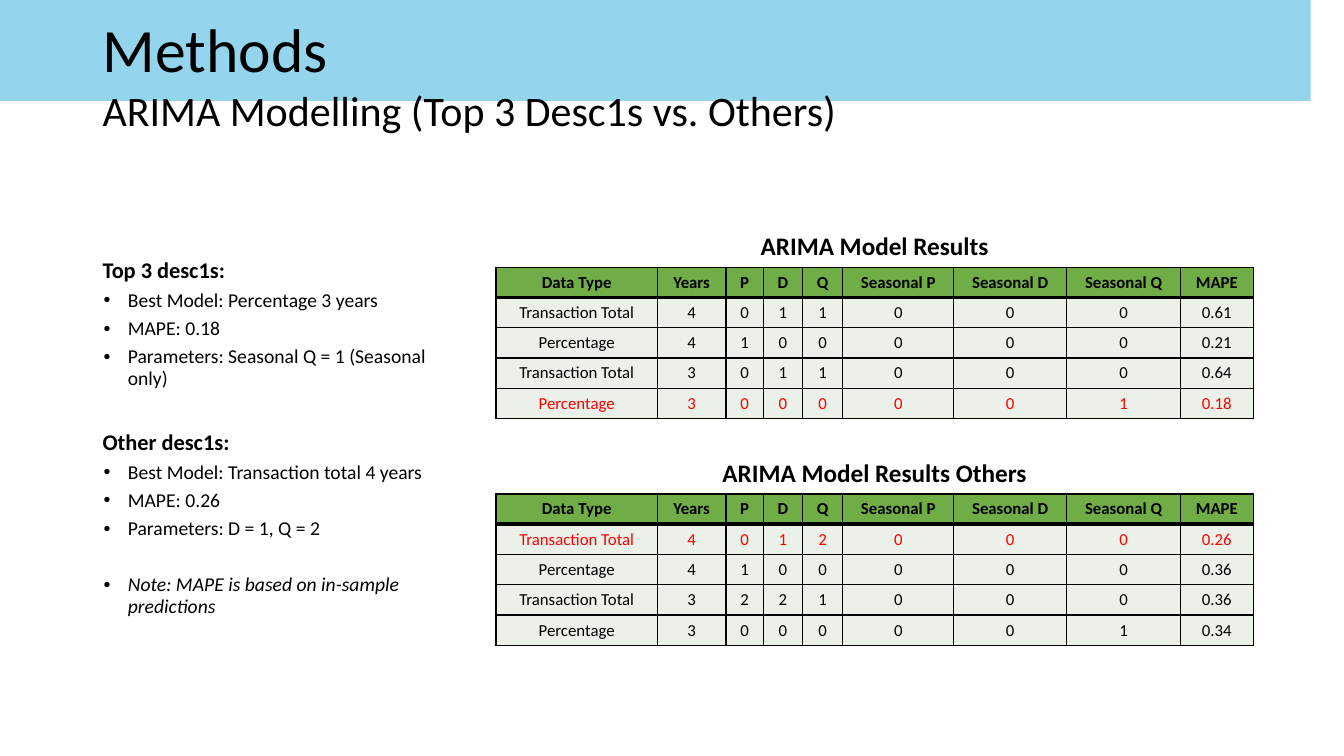
from lxml import etree
from pptx import Presentation, util as u
from pptx.dml.color import RGBColor
from pptx.enum import text
from pptx.oxml import ns

FONT = "Calibri"
BLACK, WHITE, RED = "000000", "FFFFFF", "FF0000"
SKY, GREEN, PALE = "67C3E6", "70AD47", "EBF1E9"
WIDTH, HEIGHT = 13.33, 7.5
MARGIN = 0.92


def color(value):
    return RGBColor.from_string(value)


def style(paragraph, size, value=BLACK, bold=False):
    paragraph.font.name = FONT
    paragraph.font.size = u.Pt(size)
    paragraph.font.bold = bold
    paragraph.font.color.rgb = color(value)


presentation = Presentation()
presentation.slide_width, presentation.slide_height = u.Inches(WIDTH), u.Inches(HEIGHT)
slide = presentation.slides.add_slide(presentation.slide_layouts[6])

# Curved banner: two Bezier segments sampled along the lower edge
STEPS = 24
curves = [
    [(13.31, 0.94), (11.19, 1.25), (7.6, 1.45), (3.52, 1.45)],
    [(3.52, 1.45), (2.3, 1.45), (1.13, 1.43), (0.02, 1.4)],
]
edge = [(WIDTH, 0), (WIDTH, 0.94)]
for curve in curves:
    for step in range(STEPS + 1):
        t = step / STEPS
        weights = [(1 - t) ** 3, 3 * t * (1 - t) ** 2, 3 * t * t * (1 - t), t ** 3]
        edge.append(tuple(sum(w * point[axis] for w, point in zip(weights, curve))
                          for axis in (0, 1)))
edge.append((0, 1.4))
builder = slide.shapes.build_freeform(0, 0, scale=u.Inches(1))
builder.add_line_segments(edge, close=True)
banner = builder.convert_to_shape()
banner.shadow.inherit = False
banner.line.fill.background()
banner.fill.solid()
banner.fill.fore_color.rgb = color(SKY)
banner_color = banner.fill._xPr.find(".//" + ns.qn("a:srgbClr"))
etree.SubElement(banner_color, ns.qn("a:alpha"), val="70000")

# Text blocks: box, anchor, then lines of (words, size, space before, look)
middle, top = text.MSO_ANCHOR.MIDDLE, text.MSO_ANCHOR.TOP
blocks = [
    ((MARGIN, 0.18, 11.5, 0.68), middle, [("Methods", 44, 0, "plain")]),
    ((MARGIN, 0.85, 11.5, 0.51), top,
     [("ARIMA Modelling (Top 3 Desc1s vs. Others)", 30, 10, "plain")]),
    ((MARGIN, 1.57, 3.5, 5.56), middle, [
        ("Top 3 desc1s:", 16, 10, "bold"),
        ("Best Model: Percentage 3 years", 14, 5, "bullet"),
        ("MAPE: 0.18", 14, 5, "bullet"),
        ("Parameters: Seasonal Q = 1 (Seasonal only)", 14, 5, "bullet"),
        ("Other desc1s:", 16, 30, "bold"),
        ("Best Model: Transaction total 4 years", 14, 5, "bullet"),
        ("MAPE: 0.26", 14, 5, "bullet"),
        ("Parameters: D = 1, Q = 2", 14, 5, "bullet"),
        ("Note: MAPE is based on in-sample predictions", 14, 25, "italic bullet"),
    ]),
]
for box, anchor, lines in blocks:
    frame = slide.shapes.add_textbox(*map(u.Inches, box)).text_frame
    frame.word_wrap = True
    frame.vertical_anchor = anchor
    for index, (words, size, before, look) in enumerate(lines):
        paragraph = frame.add_paragraph() if index else frame.paragraphs[0]
        paragraph.text = words
        paragraph.line_spacing = 0.9
        paragraph.space_before = u.Pt(before)
        style(paragraph, size, bold=look == "bold")
        paragraph.font.italic = "italic" in look
        if "bullet" in look:
            properties = paragraph._p.get_or_add_pPr()
            properties.set("marL", str(u.Inches(0.25)))
            properties.set("indent", str(u.Inches(-0.24)))
            bullet_font = etree.Element(ns.qn("a:buFont"), typeface="Arial")
            bullet = etree.Element(ns.qn("a:buChar"), char="•")
            properties.find(ns.qn("a:defRPr")).addprevious(bullet_font)
            bullet_font.addnext(bullet)

# Result tables: top, title, highlighted row, data
TITLE_ROW, DATA_ROW = 0.4, 0.3
columns = [1.6, 0.68, 0.37, 0.39, 0.4, 1.1, 1.12, 1.13, 0.72]
headings = ["Data Type", "Years", "P", "D", "Q",
            "Seasonal P", "Seasonal D", "Seasonal Q", "MAPE"]
results = [
    (2.25, "ARIMA Model Results", 5, [
        ["Transaction Total", 4, 0, 1, 1, 0, 0, 0, 0.61],
        ["Percentage", 4, 1, 0, 0, 0, 0, 0, 0.21],
        ["Transaction Total", 3, 0, 1, 1, 0, 0, 0, 0.64],
        ["Percentage", 3, 0, 0, 0, 0, 0, 1, 0.18],
    ]),
    (4.5, "ARIMA Model Results Others", 2, [
        ["Transaction Total", 4, 0, 1, 2, 0, 0, 0, 0.26],
        ["Percentage", 4, 1, 0, 0, 0, 0, 0, 0.36],
        ["Transaction Total", 3, 2, 2, 1, 0, 0, 0, 0.36],
        ["Percentage", 3, 0, 0, 0, 0, 0, 1, 0.34],
    ]),
]
for table_top, title, best_row, data in results:
    rows = [[title] + [""] * (len(columns) - 1), headings, *data]
    table = slide.shapes.add_table(
        len(rows), len(columns), u.Inches(4.92), u.Inches(table_top),
        u.Inches(sum(columns)), u.Inches(TITLE_ROW + DATA_ROW * (len(rows) - 1))).table
    table.first_row = table.horz_banding = False
    for column, width in zip(table.columns, columns):
        column.width = u.Inches(width)
    for r, row in enumerate(rows):
        table.rows[r].height = u.Inches(DATA_ROW if r else TITLE_ROW)
        for c, value in enumerate(row):
            cell = table.cell(r, c)
            cell.vertical_anchor = middle
            # Borders: white around the title, thick rule under the headings
            outer = BLACK if r else WHITE
            borders = {"L": (outer, 1), "R": (outer, 1),
                       "T": (outer, 3 if r == 2 else 1),
                       "B": (BLACK, 3 if r == 1 else 1)}
            for side, (border_color, points) in borders.items():
                line = etree.SubElement(cell._tc.get_or_add_tcPr(), ns.qn("a:ln" + side),
                                        w=str(u.Pt(points)))
                fill = etree.SubElement(line, ns.qn("a:solidFill"))
                etree.SubElement(fill, ns.qn("a:srgbClr"), val=border_color)
            if r == 0:
                cell.fill.background()
            else:
                cell.fill.solid()
                cell.fill.fore_color.rgb = color(GREEN if r == 1 else PALE)
            paragraph = cell.text_frame.paragraphs[0]
            paragraph.text = str(value)
            paragraph.alignment = text.PP_ALIGN.CENTER
            style(paragraph, 12 if r else 18, RED if r == best_row else BLACK, r < 2)
    table.cell(0, 0).merge(table.cell(0, len(columns) - 1))

presentation.save("out.pptx")
